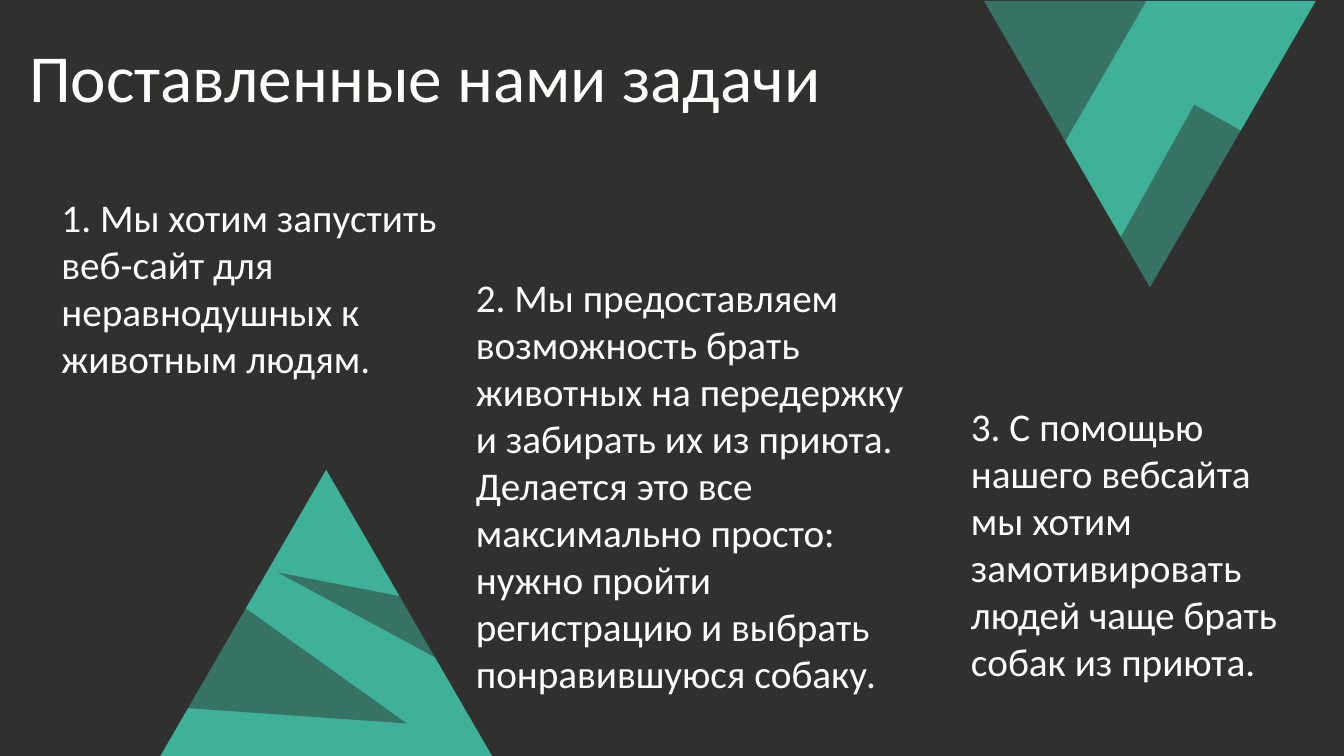
from pptx import Presentation
from pptx import util as u
from pptx.dml.color import RGBColor
from pptx.enum import shapes, text
from pptx.oxml.ns import qn
from lxml import etree

TITLE = ("Поставленные нами задачи", (19, 30, 911, 172))
TASKS = [
    ("1. Мы хотим запустить веб-сайт для неравнодушных к животным людям.",
     (51, 187, 444, 246)),
    ("2. Мы предоставляем возможность брать животных на передержку и забирать "
     "их из приюта. Делается это все максимально просто: нужно пройти "
     "регистрацию и выбрать понравившуюся собаку.",
     (462, 266, 444, 528)),
    ("3. С помощью нашего вебсайта мы хотим замотивировать людей чаще брать "
     "собак из приюта.",
     (953, 394, 352, 331)),
]
PEAKS = [((976, 1, 329, 284), 180), ((159, 466, 329, 284), 0)]
SHADES = [
    ((976, -6, 165, 285), 180),
    ((180, 478, 175, 285), 94),
    ((330, 523, 56, 179), 281),
    ((1105, 126, 165, 285), 209),
]
THEME = {
    "dark": RGBColor.from_string("30302F"),
    "mint": RGBColor.from_string("3EB198"),
    "white": RGBColor.from_string("FFFFFF"),
    "font": "Calibri", "title": 48, "body": 28, "alpha": 48,
}
PX = 9144
FRAME = {"word_wrap": True, "auto_size": text.MSO_AUTO_SIZE.NONE,
         "vertical_anchor": text.MSO_ANCHOR.TOP}
PARA = {"alignment": text.PP_ALIGN.LEFT, "line_spacing": 1.0,
        "space_before": u.Pt(0), "space_after": u.Pt(0)}


def apply(item, form):
    for key, val in form.items():
        setattr(item, key, val)


def place(item, box):
    apply(item, dict(zip(("left", "top", "width", "height"),
                         (n * PX for n in box))))


def write(item, words, box, size):
    place(item, box)
    frame = item.text_frame
    frame.text = words
    apply(frame, FRAME)
    para = frame.paragraphs[0]
    apply(para, PARA)
    props = para._p.get_or_add_pPr()
    props.set("marL", "0")
    props.set("indent", "0")
    etree.SubElement(props, qn("a:buNone"))
    font = para.runs[0].font
    apply(font, {"name": THEME["font"], "size": u.Pt(size), "bold": False})
    font.color.rgb = THEME["white"]


def draw(slide, kind, box, turn, color):
    shape = slide.shapes.add_shape(kind, *(n * PX for n in box))
    shape.rotation = turn
    shape.shadow.inherit = False
    shape.fill.solid()
    shape.fill.fore_color.rgb = color
    shape.line.fill.background()
    return shape


def main():
    deck = Presentation()
    apply(deck, {"slide_width": 1333 * PX, "slide_height": 750 * PX})
    slide = deck.slides.add_slide(deck.slide_layouts[4])
    slide.background.fill.solid()
    slide.background.fill.fore_color.rgb = THEME["dark"]

    head, *bodies = list(slide.placeholders)
    write(head, *TITLE, THEME["title"])
    for body, task in zip(bodies, TASKS):
        write(body, *task, THEME["body"])
    for spare in bodies[len(TASKS):]:
        spare.element.getparent().remove(spare.element)

    kind = shapes.MSO_SHAPE
    for box, turn in PEAKS:
        draw(slide, kind.ISOSCELES_TRIANGLE, box, turn, THEME["mint"])
    for box, turn in SHADES:
        shade = draw(slide, kind.RIGHT_TRIANGLE, box, turn, THEME["dark"])
        props = shade.element.spPr
        props.find(qn("a:xfrm")).set("flipH", "1")
        tint = props.find(qn("a:solidFill"))[0]
        etree.SubElement(tint, qn("a:alpha"), val=str(THEME["alpha"] * 1000))

    deck.save("out.pptx")


if __name__ == "__main__":
    main()
